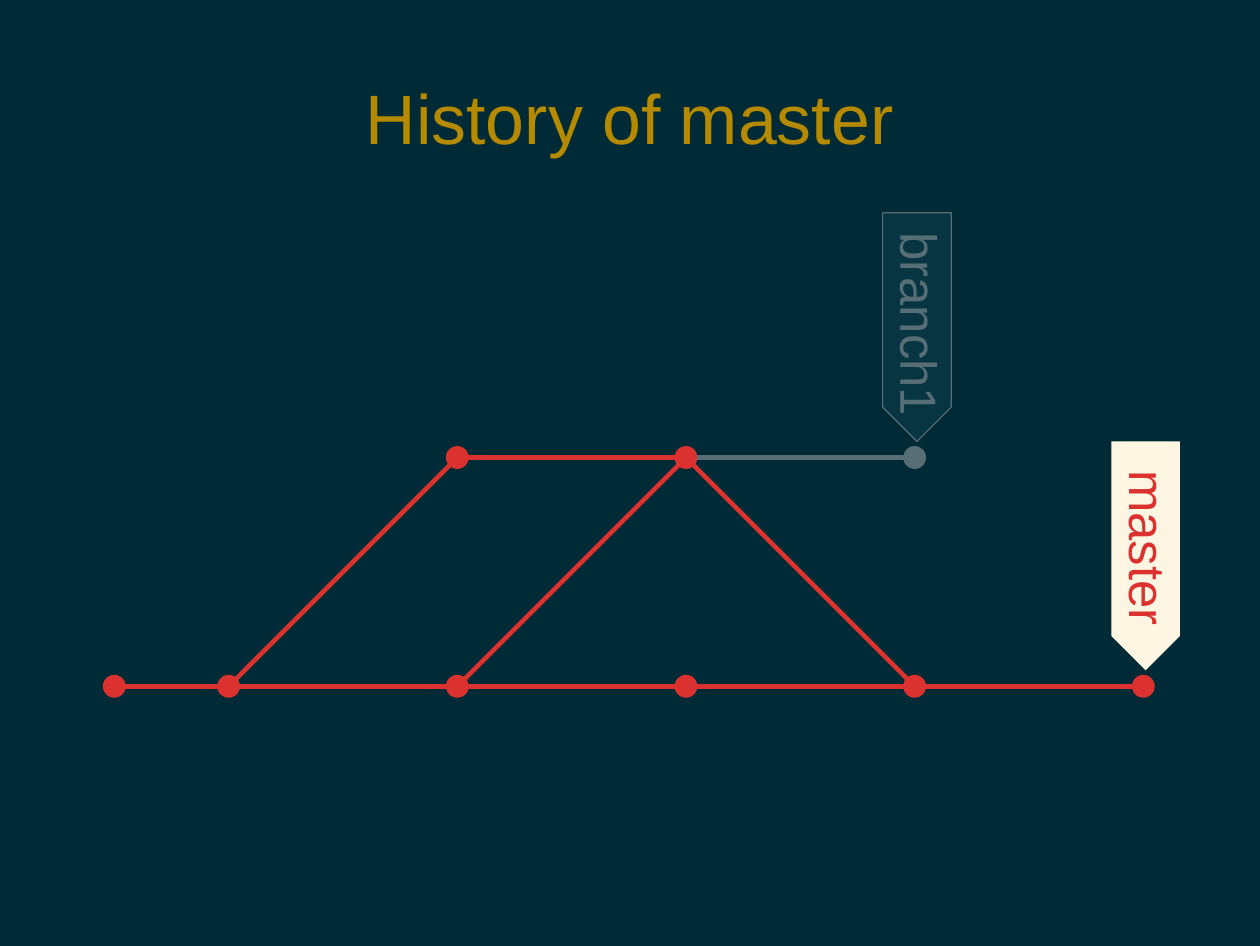
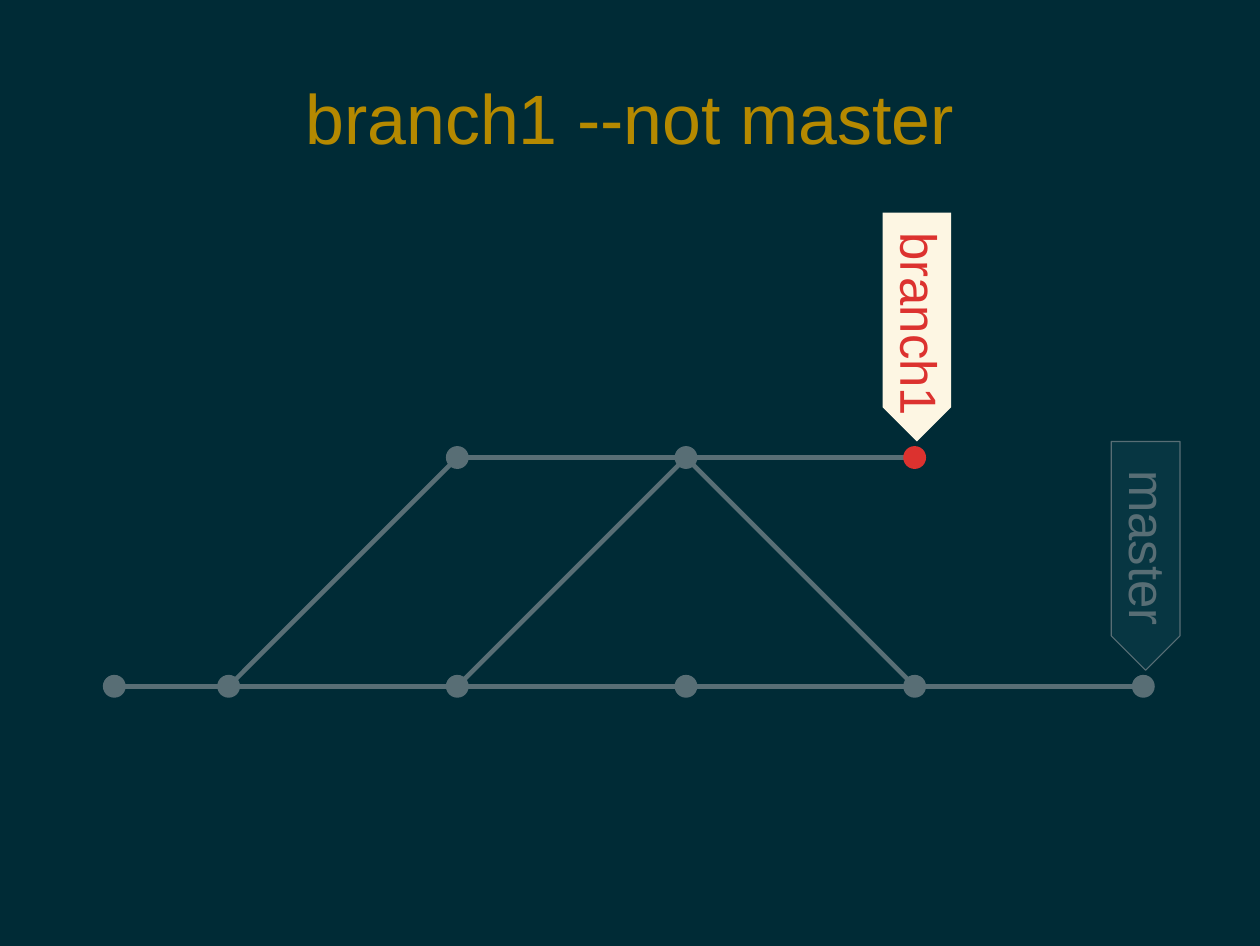
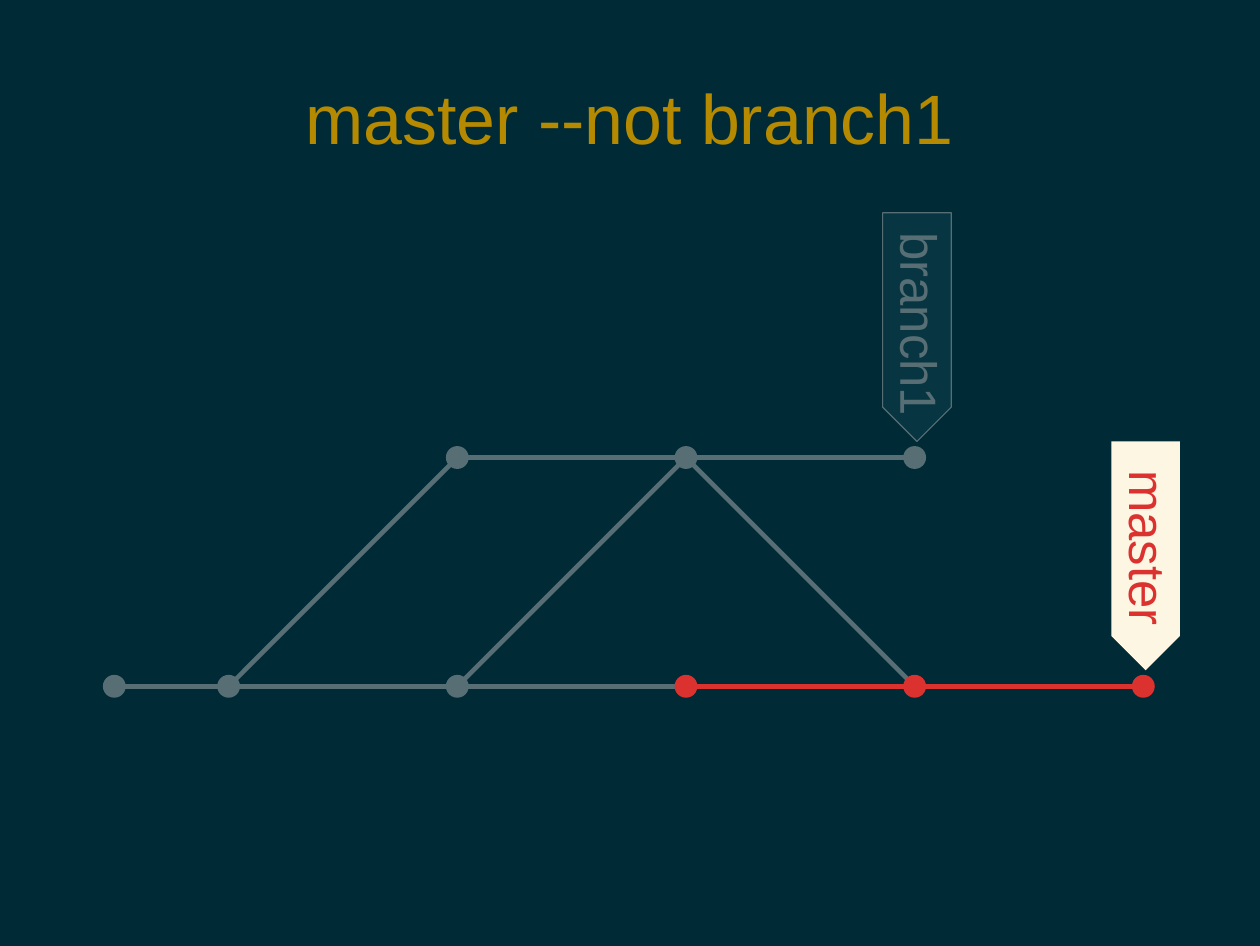
from dataclasses import dataclass

from lxml.etree import SubElement
from pptx import Presentation
from pptx.dml.color import RGBColor as Rgb
from pptx.enum.shapes import MSO_CONNECTOR as Link, MSO_SHAPE as Shape
from pptx.enum.text import MSO_ANCHOR as Anchor, MSO_AUTO_SIZE as Fit, PP_ALIGN as Align
from pptx.oxml.ns import qn
from pptx.util import Inches, Pt


@dataclass(frozen=True)
class Theme:
    back: Rgb = Rgb.from_string("002B36")
    gold: Rgb = Rgb.from_string("B58900")
    red: Rgb = Rgb.from_string("DC322F")
    gray: Rgb = Rgb.from_string("586E75")
    cream: Rgb = Rgb.from_string("FDF6E3")
    dark: Rgb = Rgb.from_string("073642")
    font: str = "Arial"
    head: Pt = Pt(44)
    label: Pt = Pt(32)
    line: Pt = Pt(2.89)


def write(frame, text, size, color, align=Align.LEFT):
    par = frame.paragraphs[0]
    par.alignment = align
    run = par.add_run()
    run.text = text
    run.font.name = theme.font
    run.font.size = size
    run.font.color.rgb = color


def inset(frame, side, edge):
    frame.margin_left = frame.margin_right = Inches(side)
    frame.margin_top = frame.margin_bottom = Inches(edge)


theme = Theme()
deck = Presentation()
deck.slide_width, deck.slide_height = Inches(11.02), Inches(8.27)

master = deck.slide_master
master.background.fill.solid()
master.background.fill.fore_color.rgb = theme.back
head = master.placeholders[0]
head.left, head.top = Inches(0.55), Inches(0.33)
head.width, head.height = Inches(9.92), Inches(1.38)
head.text_frame.vertical_anchor = Anchor.MIDDLE
head.text_frame.auto_size = Fit.NONE
inset(head.text_frame, 0, 0)

first, last, tip = (1, 6), (10, 6), (8, 4)
dots = [first, (4, 6), (4, 4), (6, 6), (6, 4), (8, 6), tip, last, (2, 6)]
tags = [("branch1", tip, 0.04, 1.77), ("master", last, 0.12, 1.52)]
size, wide, tall, point = 0.2, 0.6, 2, 0.3

views = [
    ("History of master", set(dots) - {tip}, (2, 6)),
    ("branch1 --not master", {tip}, (2, 6)),
    ("master --not branch1", {(6, 6), (8, 6), last}, (6, 6)),
]

for title, live, joint in views:
    slide = deck.slides.add_slide(deck.slide_layouts[5])
    write(slide.shapes.title.text_frame, title, theme.head, theme.gold, Align.CENTER)

    edges = [
        (first, joint),
        ((4, 4), (2, 6)),
        ((6, 4), (4, 4)),
        ((8, 6), (6, 4)),
        (last, joint),
        ((6, 4), tip),
        ((4, 6), (6, 4)),
    ]
    for start, end in edges:
        edge = slide.shapes.add_connector(Link.STRAIGHT, *map(Inches, start + end))
        edge.line.width = theme.line
        edge.line.color.rgb = theme.red if {start, end} <= live else theme.gray
        SubElement(edge._element.spPr, qn("a:effectLst"))

    for x, y in dots:
        dot = slide.shapes.add_shape(
            Shape.OVAL, Inches(x - size / 2), Inches(y - size / 2), Inches(size), Inches(size)
        )
        dot.shadow.inherit = False
        dot.fill.solid()
        dot.fill.fore_color.rgb = theme.red if (x, y) in live else theme.gray
        dot.line.fill.background()

    for name, (x, y), drop, span in tags:
        lit = (x, y) in live
        mid, low = x + 0.02, y - 0.14
        left, right, top = mid - wide / 2, mid + wide / 2, low - tall
        group = slide.shapes.add_group_shape()

        pen = group.shapes.build_freeform(Inches(left), Inches(top))
        turns = [(right, top), (right, low - point), (mid, low), (left, low - point)]
        pen.add_line_segments([(Inches(a), Inches(b)) for a, b in turns], close=True)
        flag = pen.convert_to_shape()
        flag.shadow.inherit = False
        flag.fill.solid()
        flag.fill.fore_color.rgb = theme.cream if lit else theme.dark
        if lit:
            flag.line.fill.background()
        else:
            flag.line.color.rgb = theme.gray
            flag.line.width = Pt(0)

        box = group.shapes.add_textbox(
            Inches(mid - 0.39), Inches(top + drop), Inches(0.77), Inches(span)
        )
        frame = box.text_frame
        frame.word_wrap = False
        frame.auto_size = Fit.SHAPE_TO_FIT_TEXT
        inset(frame, 0.08, 0.13)
        frame._txBody.bodyPr.set("vert", "eaVert")
        write(frame, name, theme.label, theme.red if lit else theme.gray)

deck.save("out.pptx")
